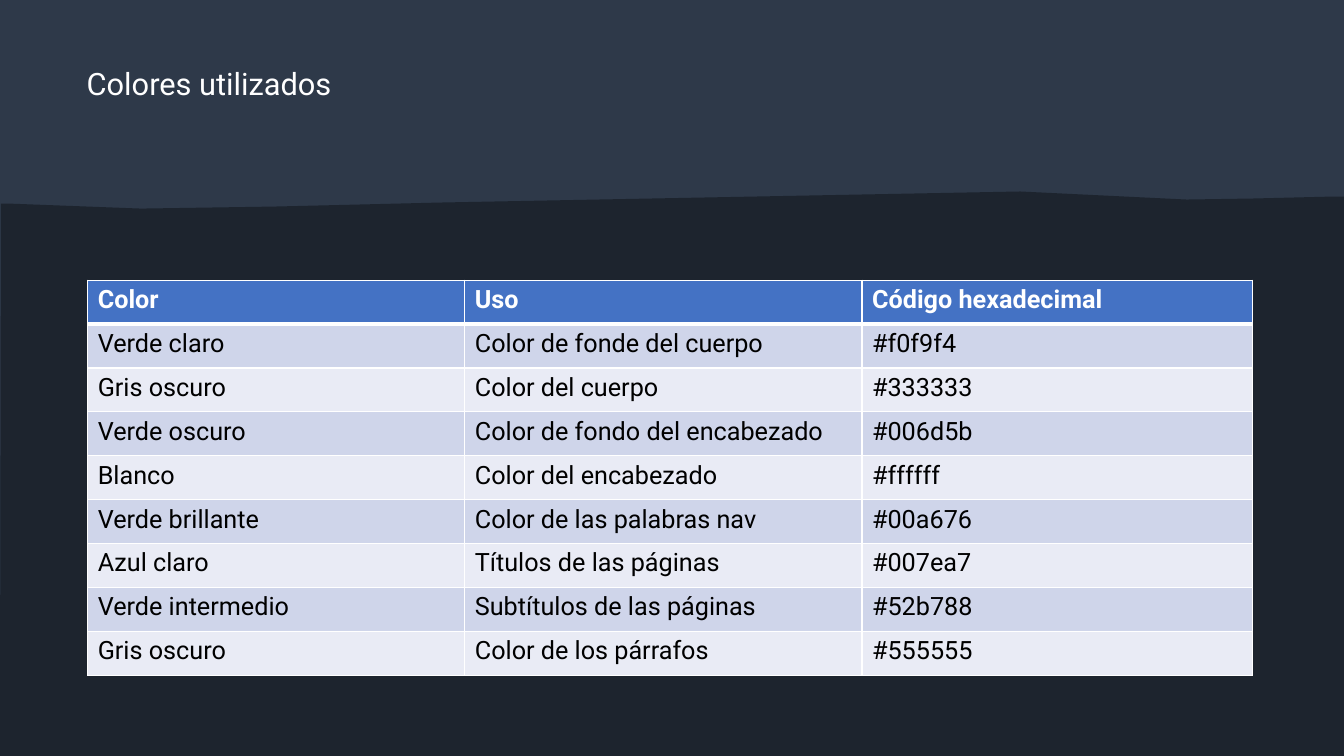
import dataclasses

import lxml.etree
import pptx
import pptx.dml.color
import pptx.enum.shapes
import pptx.enum.text
import pptx.oxml.ns
import pptx.util

Inches = pptx.util.Inches


@dataclasses.dataclass(frozen=True)
class Theme:
    font: str = "Roboto"
    title_size: int = 22
    table_size: int = 18
    night: str = "1D242E"
    slate: str = "2E3949"
    white: str = "FFFFFF"
    black: str = "000000"
    header: str = "4472C4"
    bands: tuple = ("CFD5EA", "E9EBF5")


theme = Theme()
rgb = pptx.dml.color.RGBColor.from_string


def style_text(para, text, size, color, bold=False):
    span = para.add_run()
    span.text = text
    formats = {"name": theme.font, "size": pptx.util.Pt(size), "bold": bold}
    for name, value in formats.items():
        setattr(span.font, name, value)
    span.font.color.rgb = rgb(color)


def paint(shape, color):
    """Give a shape a plain fill with no line or shadow."""
    shape.shadow.inherit = False
    shape.fill.solid()
    shape.fill.fore_color.rgb = rgb(color)
    shape.line.fill.background()


deck = pptx.Presentation()
deck.slide_width, deck.slide_height = Inches(13.33), Inches(7.5)
page = deck.slides.add_slide(deck.slide_layouts[6])
page.background.fill.solid()
page.background.fill.fore_color.rgb = rgb(theme.night)

backdrop = page.shapes.add_shape(
    pptx.enum.shapes.MSO_SHAPE.RECTANGLE, 0, 0, deck.slide_width, deck.slide_height)
paint(backdrop, theme.slate)

# Dark lower area with an uneven upper edge
ridge = [(10.12, 1.9), (11.77, 1.98), (12.43, 1.97), (13.23, 1.95), (13.33, 1.95),
         (13.33, 7.5), (0, 7.5), (0.01, 2.02), (0.08, 2.02), (1.4, 2.07),
         (2.72, 2.05), (3.54, 2.03), (4.36, 2.01)]
points = [(Inches(x), Inches(y)) for x, y in ridge]
outline = page.shapes.build_freeform(*points[0])
outline.add_line_segments(points[1:], close=True)
paint(outline.convert_to_shape(), theme.night)

title = page.shapes.add_textbox(Inches(0.79), Inches(0.68), Inches(11.73), Inches(0.75))
frame_formats = {
    "word_wrap": True, "vertical_anchor": pptx.enum.text.MSO_ANCHOR.TOP,
    "margin_left": Inches(0.07), "margin_top": 0, "margin_right": 0, "margin_bottom": 0,
}
for name, value in frame_formats.items():
    setattr(title.text_frame, name, value)
heading = title.text_frame.paragraphs[0]
heading.line_spacing = 0.9
style_text(heading, "Colores utilizados", theme.title_size, theme.white)

rows = [
    ("Color", "Uso", "Código hexadecimal"),
    ("Verde claro", "Color de fonde del cuerpo", "#f0f9f4"),
    ("Gris oscuro", "Color del cuerpo", "#333333"),
    ("Verde oscuro", "Color de fondo del encabezado", "#006d5b"),
    ("Blanco", "Color del encabezado", "#ffffff"),
    ("Verde brillante", "Color de las palabras nav", "#00a676"),
    ("Azul claro", "Títulos de las páginas", "#007ea7"),
    ("Verde intermedio", "Subtítulos de las páginas", "#52b788"),
    ("Gris oscuro", "Color de los párrafos", "#555555"),
]
table = page.shapes.add_table(
    len(rows), 3, Inches(0.87), Inches(2.78), Inches(11.56), Inches(3.92)).table
for column, width in zip(table.columns, (3.74, 3.94, 3.87)):
    column.width = Inches(width)

qn = pptx.oxml.ns.qn
for row_index, texts in enumerate(rows):
    is_header = row_index == 0
    fill = theme.header if is_header else theme.bands[(row_index - 1) % 2]
    color = theme.white if is_header else theme.black
    # The rule between header and body is thicker than the others
    borders = {"a:lnL": 1, "a:lnR": 1, "a:lnT": 3 if row_index == 1 else 1,
               "a:lnB": 3 if is_header else 1}
    for column_index, text in enumerate(texts):
        cell = table.cell(row_index, column_index)
        style_text(cell.text_frame.paragraphs[0], text, theme.table_size, color, is_header)
        properties = cell._tc.get_or_add_tcPr()
        for tag, weight in borders.items():
            border = lxml.etree.SubElement(
                properties, qn(tag), w=str(pptx.util.Pt(weight)))
            solid = lxml.etree.SubElement(border, qn("a:solidFill"))
            lxml.etree.SubElement(solid, qn("a:srgbClr"), val=theme.white)
        cell.fill.solid()
        cell.fill.fore_color.rgb = rgb(fill)

for row in table.rows:
    row.height = Inches(3.92 / len(rows))

deck.save("out.pptx")
